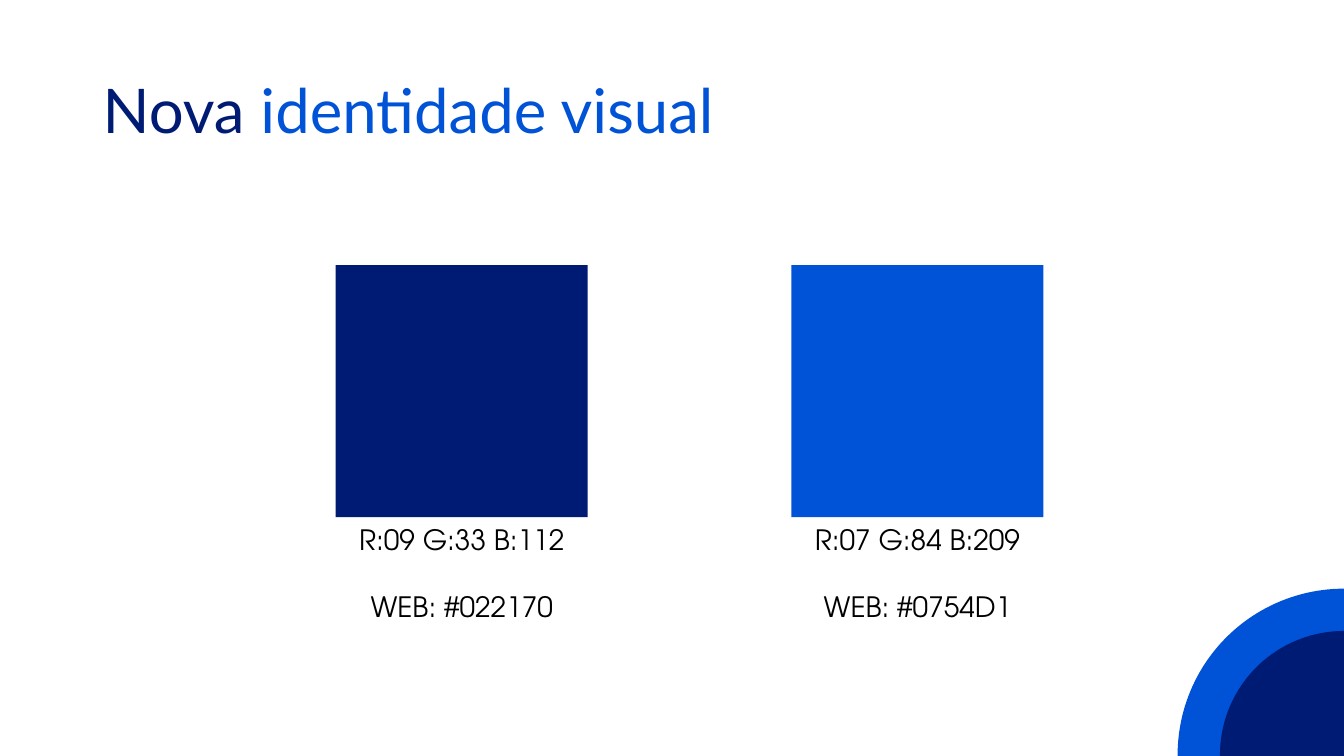
from dataclasses import dataclass

from pptx import Presentation
from pptx.dml.color import RGBColor
from pptx.enum.shapes import MSO_SHAPE as Shape
from pptx.enum.text import MSO_ANCHOR as Anchor, MSO_AUTO_SIZE as Fit, PP_ALIGN as Align
from pptx.util import Emu, Pt

SCALE = 9144  # EMU in one px, 100 px to the inch
NAVY, BLUE, BLACK = "001B73", "0053D6", "000000"
SIDE, TOP = 250, 263  # colour squares
WIDE, HIGH = 302, 111  # captions under them


@dataclass
class Swatch:
    left: int
    fill: str
    lines: tuple[str, ...]


@dataclass
class Ring:
    radius: int
    fill: str


SWATCHES = [
    Swatch(333, NAVY, ("R:09 G:33 B:112", "WEB: #022170")),
    Swatch(785, BLUE, ("R:07 G:84 B:209", "WEB: #0754D1")),
]
RINGS = [Ring(165, BLUE), Ring(123, NAVY)]
CENTRE = (1333, 749)
TITLE = [("Nova ", NAVY), ("identidade visual", BLUE)]


def px(count: int) -> Emu:
    return Emu(count * SCALE)


def paint(code: str) -> RGBColor:
    return RGBColor.from_string(code)


def apply(item, values: dict) -> None:
    for name, value in values.items():
        setattr(item, name, value)


def add_fill(slide, kind: Shape, left: int, top: int, size: int, code: str) -> None:
    shape = slide.shapes.add_shape(kind, px(left), px(top), px(size), px(size))
    shape.shadow.inherit = False
    shape.fill.solid()
    shape.fill.fore_color.rgb = paint(code)
    shape.line.fill.background()


def add_box(slide, left: int, top: int, width: int, height: int, form: dict):
    frame = slide.shapes.add_textbox(px(left), px(top), px(width), px(height)).text_frame
    apply(frame, {"word_wrap": True, **form})
    return frame


def add_run(para, text: str, code: str, form: dict) -> None:
    run = para.add_run()
    run.text = text
    apply(run.font, form)
    run.font.color.rgb = paint(code)


def add_swatch(slide, item: Swatch) -> None:
    add_fill(slide, Shape.RECTANGLE, item.left, TOP, SIDE, item.fill)
    left = item.left + (SIDE - WIDE) // 2
    frame = add_box(slide, left, TOP + SIDE, WIDE, HIGH, {"auto_size": Fit.SHAPE_TO_FIT_TEXT})
    for row, text in enumerate(item.lines):
        para = frame.add_paragraph() if row else frame.paragraphs[0]
        apply(para, {"alignment": Align.CENTER, "space_before": Pt(24 if row else 0)})
        add_run(para, text, BLACK, {"name": "TeX Gyre Adventor", "size": Pt(20)})


def add_title(slide) -> None:
    frame = add_box(slide, 92, 40, 1150, 145, {"vertical_anchor": Anchor.MIDDLE})
    para = frame.paragraphs[0]
    para.line_spacing = 0.9
    for text, code in TITLE:
        add_run(para, text, code, {"name": "Lato", "size": Pt(44)})


def main() -> None:
    deck = Presentation()
    apply(deck, {"slide_width": px(1333), "slide_height": px(750)})
    slide = deck.slides.add_slide(deck.slide_layouts[6])

    # Colour squares with their codes
    for item in SWATCHES:
        add_swatch(slide, item)

    add_title(slide)

    # Corner rings around one centre
    x, y = CENTRE
    for ring in RINGS:
        add_fill(slide, Shape.OVAL, x - ring.radius, y - ring.radius, 2 * ring.radius, ring.fill)

    deck.save("out.pptx")


if __name__ == "__main__":
    main()
